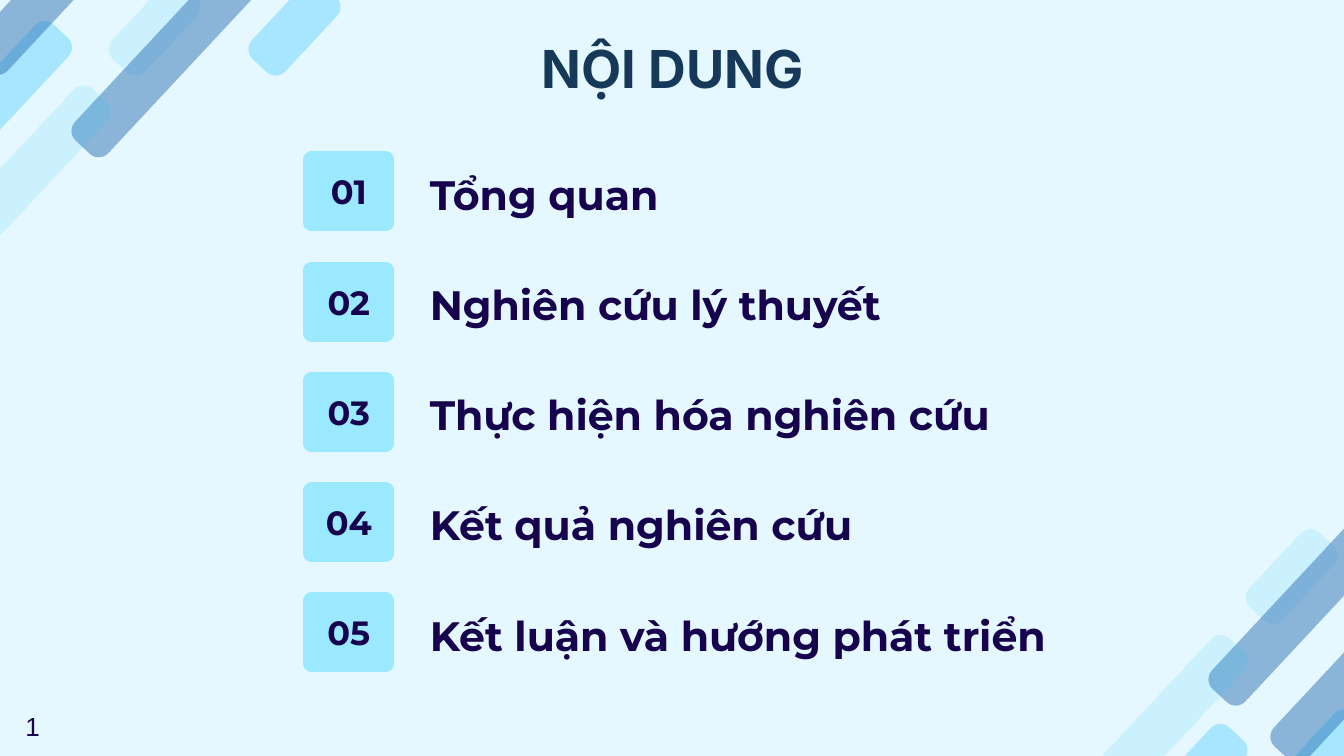
"""Build the table-of-contents slide with its diagonal corner stripes."""
from dataclasses import dataclass

from lxml import etree
from pptx import Presentation
from pptx.dml.color import RGBColor
from pptx.enum.shapes import MSO_SHAPE
from pptx.enum.text import MSO_ANCHOR, MSO_AUTO_SIZE, PP_ALIGN
from pptx.oxml.ns import qn
from pptx.slide import Slide
from pptx.text.text import TextFrame
from pptx.util import Inches, Pt

ROUND_RECT, RECT = MSO_SHAPE.ROUNDED_RECTANGLE, MSO_SHAPE.RECTANGLE
TOP, MIDDLE = MSO_ANCHOR.TOP, MSO_ANCHOR.MIDDLE
LEFT, CENTER = PP_ALIGN.LEFT, PP_ALIGN.CENTER
FIXED = MSO_AUTO_SIZE.NONE

PALE = RGBColor(0xE6, 0xF8, 0xFF)
SKY = RGBColor(0x17, 0xBF, 0xFE)
BLUE = RGBColor(0x2C, 0x70, 0xB3)
AQUA = RGBColor(0x9B, 0xE9, 0xFF)
NAVY = RGBColor(0x16, 0x38, 0x59)
INDIGO = RGBColor(0x17, 0x02, 0x4E)

SLIDE_WIDTH = Inches(10)
SLIDE_HEIGHT = SLIDE_WIDTH * 9 // 16
STRIPE_HEIGHT = 0.34
FIRST_ROW, ROW_STEP = 1.19, 0.82
TOPICS = (
    "Tổng quan",
    "Nghiên cứu lý thuyết",
    "Thực hiện hóa nghiên cứu",
    "Kết quả nghiên cứu",
    "Kết luận và hướng phát triển",
)


@dataclass(frozen=True)
class Stripe:
    left: float
    top: float
    width: float
    color: RGBColor
    opacity: int


@dataclass(frozen=True)
class TextStyle:
    font: str
    size: int
    color: RGBColor
    bold: bool = True
    align: PP_ALIGN = LEFT
    anchor: MSO_ANCHOR = TOP
    inset: float = 0.1


TITLE_STYLE = TextStyle("Inter", 28, NAVY, align=CENTER)
NUMBER_STYLE = TextStyle("Montserrat", 18, INDIGO, align=CENTER, anchor=MIDDLE)
TOPIC_STYLE = TextStyle("Montserrat", 22, INDIGO)
PAGE_STYLE = TextStyle("Arial", 14, INDIGO, bold=False, inset=0.05)

STRIPES = (
    Stripe(0.77, 0.04, 0.76, SKY, 13),
    Stripe(0.26, 0.11, 2.23, BLUE, 49),
    Stripe(-0.44, 0.45, 1.06, SKY, 30),
    Stripe(-0.89, 1.25, 1.94, SKY, 13),
    Stripe(1.81, 0.04, 0.76, SKY, 30),
    Stripe(-0.31, -0.09, 1.1, BLUE, 49),
    Stripe(9.23, 4.12, 0.76, SKY, 13),
    Stripe(8.72, 4.19, 2.23, BLUE, 49),
    Stripe(9.23, 5.57, 1.06, SKY, 30),
    Stripe(7.57, 5.34, 1.94, SKY, 13),
    Stripe(8.56, 5.57, 0.76, SKY, 30),
    Stripe(9.36, 5.03, 1.1, BLUE, 49),
)


def write(frame: TextFrame, text: str, style: TextStyle) -> None:
    frame.text = text
    frame.word_wrap = True
    frame.auto_size = FIXED
    frame.vertical_anchor = style.anchor
    frame.margin_left = frame.margin_right = Inches(0.1)
    frame.margin_top = frame.margin_bottom = Inches(style.inset)
    paragraph = frame.paragraphs[0]
    paragraph.alignment = style.align
    font = paragraph.runs[0].font
    font.name = style.font
    font.size = Pt(style.size)
    font.bold = style.bold
    font.color.rgb = style.color


def add_text(slide: Slide, left: float, top: float, width: float, height: float,
             text: str, style: TextStyle) -> None:
    box = slide.shapes.add_textbox(Inches(left), Inches(top), Inches(width), Inches(height))
    write(box.text_frame, text, style)


def add_stripe(slide: Slide, stripe: Stripe) -> None:
    bar = slide.shapes.add_shape(ROUND_RECT, Inches(stripe.left), Inches(stripe.top),
                                 Inches(stripe.width), Inches(STRIPE_HEIGHT))
    bar.adjustments[0] = 0.29
    bar.rotation = 133
    bar.shadow.inherit = False
    bar.line.fill.background()
    bar.fill.solid()
    bar.fill.fore_color.rgb = stripe.color
    color = bar.fill._xPr.find(qn("a:solidFill"))[0]
    etree.SubElement(color, qn("a:alpha"), val=str(stripe.opacity * 1000))


def add_topic(slide: Slide, index: int, topic: str) -> None:
    top = FIRST_ROW + index * ROW_STEP
    badge = slide.shapes.add_shape(RECT, Inches(2.32), Inches(top), Inches(0.55), Inches(0.47))
    badge.shadow.inherit = False
    badge.fill.solid()
    badge.fill.fore_color.rgb = AQUA
    badge.line.color.rgb = AQUA
    badge.line.width = Pt(9)
    etree.SubElement(badge.line._get_or_add_ln(), qn("a:round"))
    write(badge.text_frame, f"{index + 1:02d}", NUMBER_STYLE)
    add_text(slide, 3.1, top - 0.03, 5.37, 0.54, topic, TOPIC_STYLE)


def main() -> None:
    deck = Presentation()
    deck.slide_width, deck.slide_height = SLIDE_WIDTH, SLIDE_HEIGHT
    slide = deck.slides.add_slide(deck.slide_layouts[5])
    slide.background.fill.solid()
    slide.background.fill.fore_color.rgb = PALE

    for stripe in STRIPES:
        add_stripe(slide, stripe)

    title = slide.shapes.title
    title.left, title.top = Inches(0.79), Inches(0.17)
    title.width, title.height = Inches(8.43), Inches(0.63)
    write(title.text_frame, "NỘI DUNG", TITLE_STYLE)

    for index, topic in enumerate(TOPICS):
        add_topic(slide, index, topic)
    add_text(slide, 0.09, 5.24, 0.59, 0.34, "1", PAGE_STYLE)

    deck.save("out.pptx")


if __name__ == "__main__":
    main()
